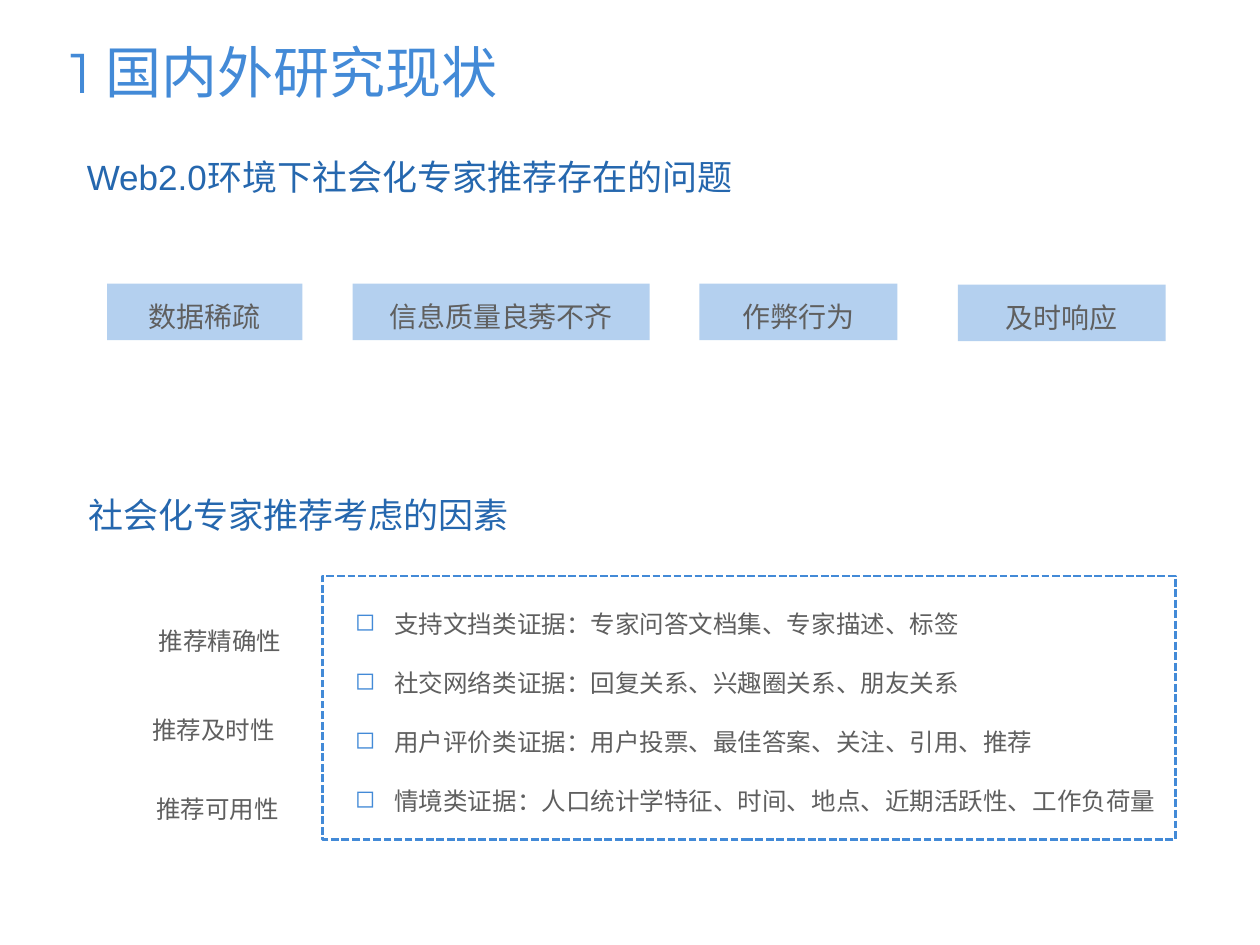
from lxml import etree
from pptx import Presentation
from pptx.dml.color import RGBColor
from pptx.enum.dml import MSO_LINE
from pptx.enum.shapes import MSO_SHAPE
from pptx.enum.text import MSO_ANCHOR, MSO_AUTO_SIZE, PP_ALIGN
from pptx.oxml.ns import qn
from pptx.util import Cm, Pt

RECTANGLE = MSO_SHAPE.RECTANGLE
DASH = MSO_LINE.SQUARE_DOT
TOP, BOTTOM = MSO_ANCHOR.TOP, MSO_ANCHOR.BOTTOM
GROW = MSO_AUTO_SIZE.SHAPE_TO_FIT_TEXT
FIXED = MSO_AUTO_SIZE.NONE
LEFT, CENTER, JUSTIFY = PP_ALIGN.LEFT, PP_ALIGN.CENTER, PP_ALIGN.JUSTIFY

BLUE = RGBColor(0x43, 0x8A, 0xD7)
DARK_BLUE = RGBColor(0x25, 0x67, 0xAE)
PALE_BLUE = RGBColor(0xB4, 0xD0, 0xEF)
GRAY = RGBColor(0x5F, 0x5F, 0x5F)

TITLE_FONT = {"name": "Montserrat", "size": Pt(32)}
HEADING_FONT = {"name": "Arial", "size": Pt(20)}
TAG_FONT = {"name": "Arial", "size": Pt(16)}
BODY_FONT = {"name": "Arial", "size": Pt(14)}

PROBLEMS = [
    ("数据稀疏", 0, 0, 3.94),
    ("信息质量良莠不齐", 4.95, 0, 5.99),
    ("作弊行为", 11.94, 0, 3.99),
    ("及时响应", 17.15, 0.02, 4.19),
]
GOALS = [
    ("推荐精确性", 0.13, 0),
    ("推荐及时性", 0, 1.8),
    ("推荐可用性", 0.08, 3.38),
]
EVIDENCE = [
    "支持文挡类证据：专家问答文档集、专家描述、标签",
    "社交网络类证据：回复关系、兴趣圈关系、朋友关系",
    "用户评价类证据：用户投票、最佳答案、关注、引用、推荐",
    "情境类证据：人口统计学特征、时间、地点、近期活跃性、工作负荷量",
]


def apply_format(target, values):
    """Set every attribute named in values on target."""
    for name, value in values.items():
        setattr(target, name, value)


def set_indent(paragraph, margin, indent=0, bullet=None):
    """Indent a paragraph and give it an optional blue bullet."""
    properties = paragraph._p.get_or_add_pPr()
    properties.set("marL", str(Cm(margin)))
    properties.set("indent", str(Cm(indent)))
    if bullet:
        color = etree.SubElement(properties, qn("a:buClr"))
        etree.SubElement(color, qn("a:srgbClr")).set("val", str(BLUE))
        etree.SubElement(properties, qn("a:buChar")).set("char", bullet)


def write_text(shape, lines, font, color, spacing, alignment=LEFT, frame=None, indent=None):
    """Write one formatted paragraph for each line."""
    text_frame = shape.text_frame
    apply_format(text_frame, {"word_wrap": True, "auto_size": GROW,
                              "vertical_anchor": TOP, **(frame or {})})
    for index, line in enumerate(lines):
        paragraph = text_frame.paragraphs[0] if index == 0 else text_frame.add_paragraph()
        if indent:
            set_indent(paragraph, *indent)
        apply_format(paragraph, {"alignment": alignment, "line_spacing": spacing})
        run = paragraph.add_run()
        run.text = line
        apply_format(run.font, font)
        run.font.color.rgb = color


def add_text(slide, box, lines, *style, **options):
    """Add a text box measured in centimetres."""
    write_text(slide.shapes.add_textbox(*map(Cm, box)), lines, *style, **options)


def add_rectangle(slide, box):
    """Add a rectangle without a shadow."""
    shape = slide.shapes.add_shape(RECTANGLE, *map(Cm, box))
    shape.shadow.inherit = False
    return shape


def add_title(slide, box):
    """Add the slide title, resting on the bottom of its box."""
    frame = {"vertical_anchor": BOTTOM, "auto_size": FIXED,
             "margin_top": 0, "margin_bottom": Cm(0.3)}
    add_text(slide, box, ["1 国内外研究现状"], TITLE_FONT, BLUE, 0.9, frame=frame)


def add_heading(slide, box, text):
    """Add a section heading."""
    add_text(slide, box, [text], HEADING_FONT, DARK_BLUE, 1.1, JUSTIFY,
             frame={"auto_size": FIXED}, indent=(0.23,))


def add_problems(slide, box):
    """Add the row of filled problem tags."""
    left, top, _, height = box
    for text, x, y, width in PROBLEMS:
        tag = add_rectangle(slide, (left + x, top + y, width, height))
        tag.fill.solid()
        tag.fill.fore_color.rgb = PALE_BLUE
        tag.line.fill.background()
        write_text(tag, [text], TAG_FONT, GRAY, 1.3, CENTER)


def add_goals(slide, box):
    """Add the recommendation goals down the left side."""
    left, top, width, _ = box
    for text, x, y in GOALS:
        add_text(slide, (left + x, top + y, width, 0.97), [text], BODY_FONT, GRAY, 1.3)


def add_evidence(slide, box):
    """Add the bulleted evidence list with its dashed frame."""
    left, top, width, height = box
    add_text(slide, (left + 0.41, top - 0.05, width, height - 0.25), EVIDENCE,
             BODY_FONT, GRAY, 2.0, indent=(0.79, -0.79, "◻"))
    border = add_rectangle(slide, box)
    border.fill.background()
    border.line.color.rgb = BLUE
    apply_format(border.line, {"width": Pt(1.5), "dash_style": DASH})


def main():
    """Build and save the slide."""
    presentation = Presentation()
    apply_format(presentation, {"slide_width": Cm(25.4), "slide_height": Cm(19.05)})
    slide = presentation.slides.add_slide(presentation.slide_layouts[6])
    add_title(slide, (1.17, 0.46, 23.04, 1.96))
    add_heading(slide, (1.27, 2.92, 23.04, 1.27), "Web2.0环境下社会化专家推荐存在的问题")
    add_problems(slide, (2.16, 5.72, 21.34, 1.14))
    add_heading(slide, (1.3, 9.73, 23.04, 1.27), "社会化专家推荐考虑的因素")
    add_goals(slide, (2.82, 12.32, 3.28, 4.42))
    add_evidence(slide, (6.5, 11.61, 17.2, 5.31))
    presentation.save("out.pptx")


if __name__ == "__main__":
    main()
